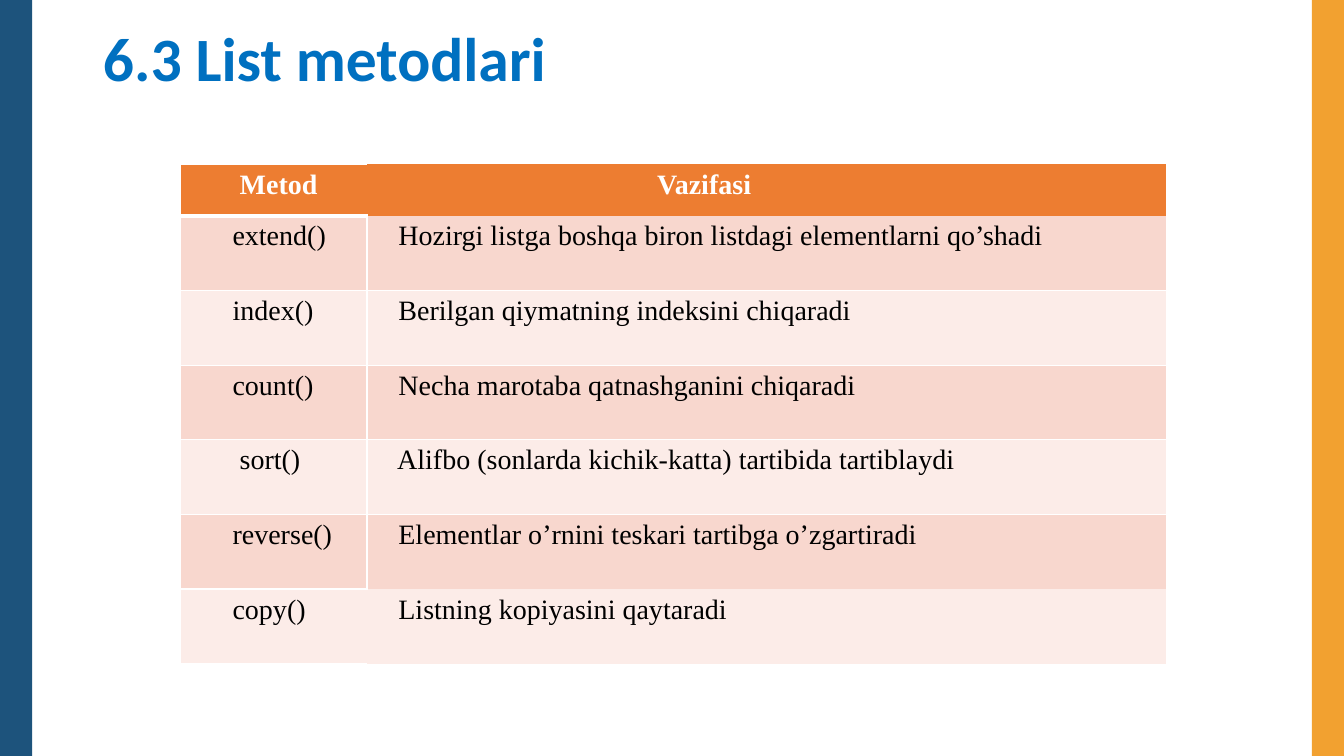
"""Build the slide that lists the Python list methods in a two-column table."""
from dataclasses import dataclass

from lxml import etree
from pptx import Presentation
from pptx import util as u
from pptx.dml import color
from pptx.enum import shapes, text
from pptx.oxml import ns

SLIDE_WIDTH, SLIDE_HEIGHT = 33.87, 19.05
BAR_WIDTH = 0.81
WHITE, BLACK = "FFFFFF", "000000"
HEADER_FILL = "ED7D31"
BAND_FILLS = ("F8D7CE", "FCECE8")
COLUMN_WIDTHS = (4.7, 20.14)
HEADER_HEIGHT, BODY_HEIGHT = 1.3, 1.88


@dataclass
class Bar:
    """A vertical colour bar on a slide edge."""
    left: float
    top: float
    fill: str


@dataclass
class Row:
    """A table row with the indents and the bordered sides of its two cells."""
    method: str
    purpose: str
    indents: tuple[float, float] = (1.31, 0.79)
    borders: tuple[str, str] = ("LRTB", "LRTB")


BARS = (
    Bar(0, -0.03, "1D537C"),
    Bar(SLIDE_WIDTH - BAR_WIDTH, 0, "F2A130"),
)
ROWS = (
    Row("Metod", "Vazifasi", indents=(1.49, 7.31), borders=("LTB", "")),
    Row("extend()", "Hozirgi listga boshqa biron listdagi elementlarni qo’shadi",
        borders=("LRTB", "LRB")),
    Row("index()", "Berilgan qiymatning indeksini chiqaradi"),
    Row("count()", "Necha marotaba qatnashganini chiqaradi"),
    Row("sort()", "Alifbo (sonlarda kichik-katta) tartibida tartiblaydi",
        indents=(1.49, 0.76)),
    Row("reverse()", "Elementlar o’rnini teskari tartibga o’zgartiradi",
        borders=("LRTB", "LRT")),
    Row("copy()", "Listning kopiyasini qaytaradi", borders=("LTB", "")),
)


def rgb(value: str) -> color.RGBColor:
    """Turn a hex string into a colour."""
    return color.RGBColor.from_string(value)


def style_font(font, name: str, size: float, fill: str, bold: bool) -> None:
    """Set the face, size, colour and weight of a font."""
    font.name = name
    font.size = u.Pt(size)
    font.bold = bold
    font.color.rgb = rgb(fill)


def draw_bar(page, bar: Bar) -> None:
    """Draw one edge bar."""
    box = page.shapes.add_shape(
        shapes.MSO_SHAPE.RECTANGLE,
        u.Cm(bar.left), u.Cm(bar.top), u.Cm(BAR_WIDTH), u.Cm(19.08))
    box.shadow.inherit = False
    box.fill.solid()
    box.fill.fore_color.rgb = rgb(bar.fill)
    box.line.fill.background()


def draw_title(page, words: str) -> None:
    """Place and format the title placeholder."""
    title = page.shapes.title
    title.left, title.top = u.Cm(2.34), u.Cm(-0.28)
    title.width, title.height = u.Cm(29.21), u.Cm(3.68)
    frame = title.text_frame
    frame.text = words
    frame.word_wrap = True
    frame.auto_size = text.MSO_AUTO_SIZE.NONE
    frame.vertical_anchor = text.MSO_ANCHOR.MIDDLE
    para = frame.paragraphs[0]
    para.alignment = text.PP_ALIGN.LEFT
    para.line_spacing = 0.9
    style_font(para.runs[0].font, "Calibri", 44, "0070C0", True)


def add_borders(cell, sides: str, widths: dict[str, float]) -> None:
    """Draw white lines on the named sides and clear the others."""
    properties = cell._tc.get_or_add_tcPr()
    for side in "LRTB":
        line = etree.SubElement(properties, ns.qn(f"a:ln{side}"))
        line.set("w", str(u.Pt(widths.get(side, 1))))
        if side in sides:
            fill = etree.SubElement(line, ns.qn("a:solidFill"))
            etree.SubElement(fill, ns.qn("a:srgbClr")).set("val", WHITE)
        else:
            etree.SubElement(line, ns.qn("a:noFill"))


def draw_table(page, rows: tuple[Row, ...]) -> None:
    """Draw the header and the banded method rows."""
    height = HEADER_HEIGHT + BODY_HEIGHT * (len(rows) - 1)
    table = page.shapes.add_table(
        len(rows), len(COLUMN_WIDTHS), u.Cm(4.55), u.Cm(4.14),
        u.Cm(sum(COLUMN_WIDTHS)), u.Cm(height)).table
    for column, width in zip(table.columns, COLUMN_WIDTHS):
        column.width = u.Cm(width)
    for index, row in enumerate(rows):
        header = index == 0
        table.rows[index].height = u.Cm(HEADER_HEIGHT if header else BODY_HEIGHT)
        widths = {0: {"B": 3}, 1: {"T": 3}}.get(index, {})
        for position, words in enumerate((row.method, row.purpose)):
            cell = table.cell(index, position)
            add_borders(cell, row.borders[position], widths)
            cell.fill.solid()
            cell.fill.fore_color.rgb = rgb(
                HEADER_FILL if header else BAND_FILLS[(index - 1) % 2])
            cell.margin_left = u.Cm(row.indents[position])
            cell.text_frame.text = words
            span = cell.text_frame.paragraphs[0].runs[0]
            style_font(span.font, "Times New Roman", 20,
                       WHITE if header else BLACK, header)


def main() -> None:
    """Build and save the deck."""
    deck = Presentation()
    deck.slide_width, deck.slide_height = u.Cm(SLIDE_WIDTH), u.Cm(SLIDE_HEIGHT)
    page = deck.slides.add_slide(deck.slide_layouts.get_by_name("Title Only"))
    for bar in BARS:
        draw_bar(page, bar)
    draw_title(page, "6.3 List metodlari")
    draw_table(page, ROWS)
    deck.save("out.pptx")


if __name__ == "__main__":
    main()
